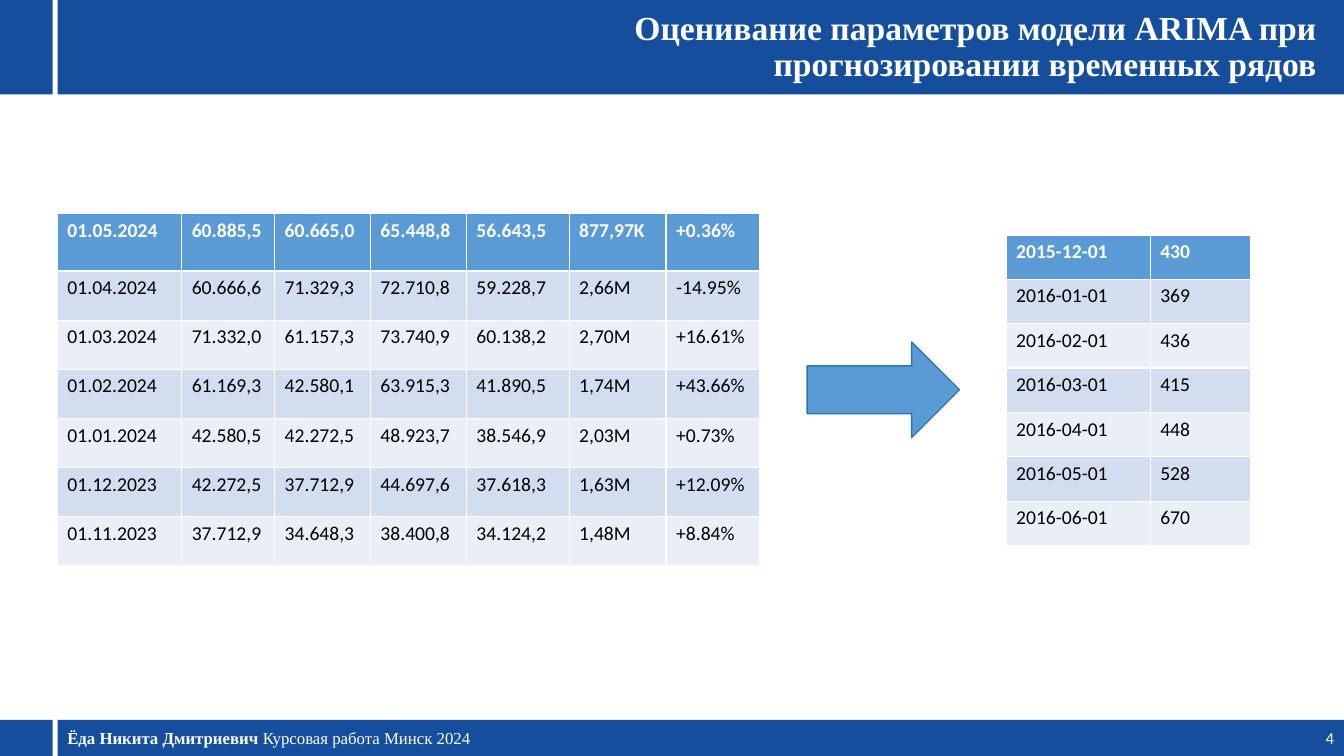
"""Build the slide on the data behind the ARIMA forecast."""
from pptx import Presentation
from pptx.dml.color import RGBColor
from pptx.enum.shapes import MSO_SHAPE as Shape
from pptx.enum.text import MSO_ANCHOR as Anchor, MSO_AUTO_SIZE as AutoSize, PP_ALIGN as Align
from pptx.util import Pt

COLORS = {
    "band": "144E9D", "white": "FFFFFF", "black": "000000", "accent": "5B9BD5",
    "arrow_line": "2E75B6", "odd_row": "D2DEEF", "even_row": "EAEFF7",
}
SERIF, SANS = "Times New Roman", "Calibri"


def style_run(run, font_name, size, color, bold=False):
    run.font.name = font_name
    run.font.size = Pt(size)
    run.font.bold = bold
    run.font.color.rgb = RGBColor.from_string(COLORS[color])


def add_block(preset, box, fill, line=None):
    block = slide.shapes.add_shape(preset, *map(Pt, box))
    block.shadow.inherit = False
    block.fill.solid()
    block.fill.fore_color.rgb = RGBColor.from_string(COLORS[fill])
    if line:
        block.line.color.rgb = RGBColor.from_string(COLORS[line])
        block.line.width = Pt(1)
    else:
        block.line.fill.background()


prs = Presentation()
prs.slide_width, prs.slide_height = Pt(960), Pt(540)
slide = prs.slides.add_slide(prs.slide_layouts[5])

add_block(Shape.RECTANGLE, (0, 0, 960, 67.5), "band")
add_block(Shape.RECTANGLE, (0, 514.2, 960, 25.8), "band")
add_block(Shape.RECTANGLE, (37.5, 0, 3.6, 540), "white")

heading = slide.shapes.title
slide.shapes._spTree.append(heading._element)
heading.left, heading.top, heading.width, heading.height = map(Pt, (431.3, 3.6, 516.2, 60.5))
heading.text_frame.text = "Оценивание параметров модели ARIMA при прогнозировании временных рядов"
heading.text_frame.auto_size = AutoSize.NONE
heading.text_frame.vertical_anchor = Anchor.MIDDLE
heading_line = heading.text_frame.paragraphs[0]
heading_line.alignment = Align.RIGHT
heading_line.line_spacing = 0.9
style_run(heading_line.runs[0], SERIF, 24, "white", True)

footers = [
    ((41, 514.2, 324, 25.8), Align.LEFT, SERIF,
     [("Ёда Никита Дмитриевич ", True), ("Курсовая работа Минск 2024", False)]),
    ((744, 514.2, 216, 25.2), Align.RIGHT, SANS, [("4", False)]),
]
for box, alignment, font_name, pieces in footers:
    footer = slide.shapes.add_textbox(*map(Pt, box)).text_frame
    footer.word_wrap = True
    footer.vertical_anchor = Anchor.MIDDLE
    footer_line = footer.paragraphs[0]
    footer_line.alignment = alignment
    for words, bold in pieces:
        run = footer_line.add_run()
        run.text = words
        style_run(run, font_name, 12, "white", bold)

prices = [
    ["01.05.2024", "60.885,5", "60.665,0", "65.448,8", "56.643,5", "877,97K", "+0.36%"],
    ["01.04.2024", "60.666,6", "71.329,3", "72.710,8", "59.228,7", "2,66M", "-14.95%"],
    ["01.03.2024", "71.332,0", "61.157,3", "73.740,9", "60.138,2", "2,70M", "+16.61%"],
    ["01.02.2024", "61.169,3", "42.580,1", "63.915,3", "41.890,5", "1,74M", "+43.66%"],
    ["01.01.2024", "42.580,5", "42.272,5", "48.923,7", "38.546,9", "2,03M", "+0.73%"],
    ["01.12.2023", "42.272,5", "37.712,9", "44.697,6", "37.618,3", "1,63M", "+12.09%"],
    ["01.11.2023", "37.712,9", "34.648,3", "38.400,8", "34.124,2", "1,48M", "+8.84%"],
]
monthly_values = [
    ["2015-12-01", "430"], ["2016-01-01", "369"], ["2016-02-01", "436"],
    ["2016-03-01", "415"], ["2016-04-01", "448"], ["2016-05-01", "528"],
    ["2016-06-01", "670"],
]
tables = [
    (prices, 41, 152.8, [88.8, 66.4, 68.4, 68.6, 73.4, 69.2, 67], 40.8, 35.1),
    (monthly_values, 718.6, 167.8, [103, 72], 31.7, 31.7),
]
for rows, left, top, widths, header_height, row_height in tables:
    height = header_height + row_height * (len(rows) - 1)
    grid = slide.shapes.add_table(
        len(rows), len(widths), Pt(left), Pt(top), Pt(sum(widths)), Pt(height)).table
    for column, width in zip(grid.columns, widths):
        column.width = Pt(width)
    for r, values in enumerate(rows):
        is_header = r == 0
        grid.rows[r].height = Pt(header_height if is_header else row_height)
        fill = "accent" if is_header else "odd_row" if r % 2 else "even_row"
        for c, value in enumerate(values):
            cell = grid.cell(r, c)
            cell.fill.solid()
            cell.fill.fore_color.rgb = RGBColor.from_string(COLORS[fill])
            cell.text_frame.text = value
            style_run(cell.text_frame.paragraphs[0].runs[0], SANS, 14,
                      "white" if is_header else "black", is_header)

add_block(Shape.RIGHT_ARROW, (576.6, 244.2, 108.8, 68.4), "accent", "arrow_line")

prs.save("out.pptx")
